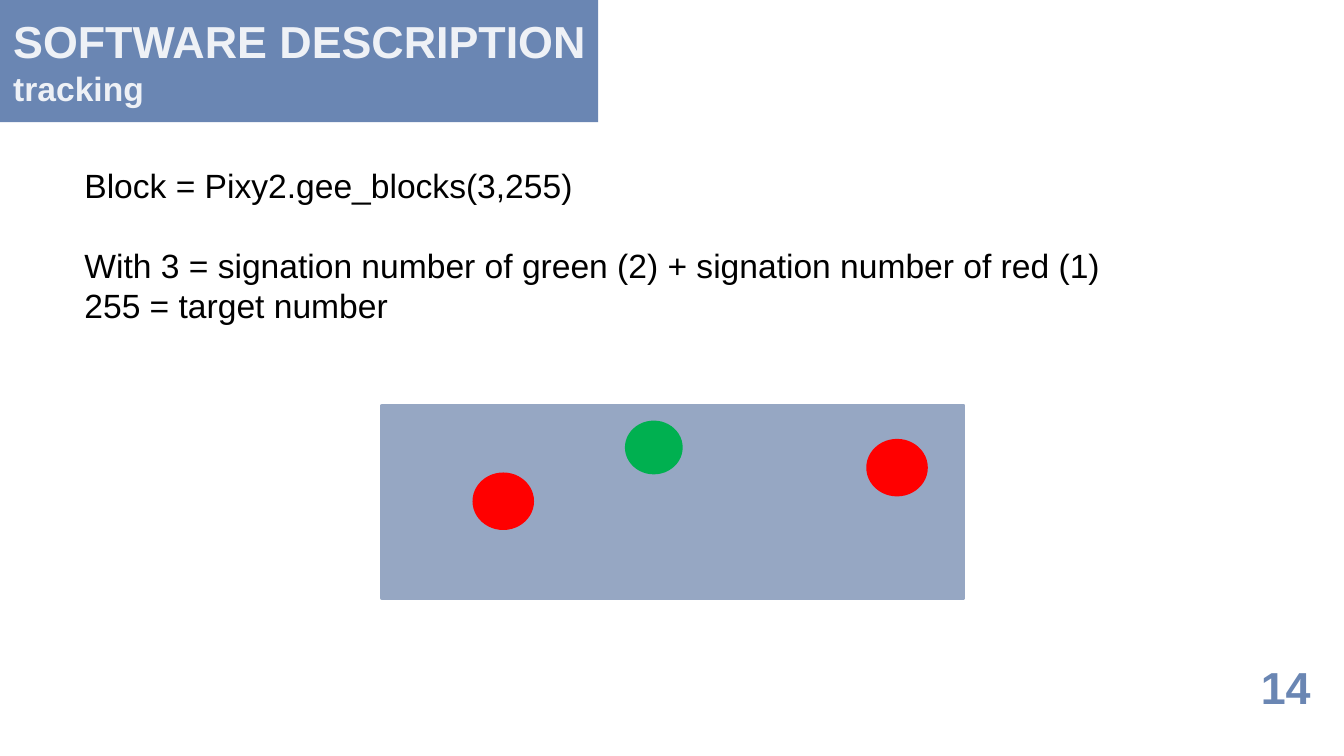
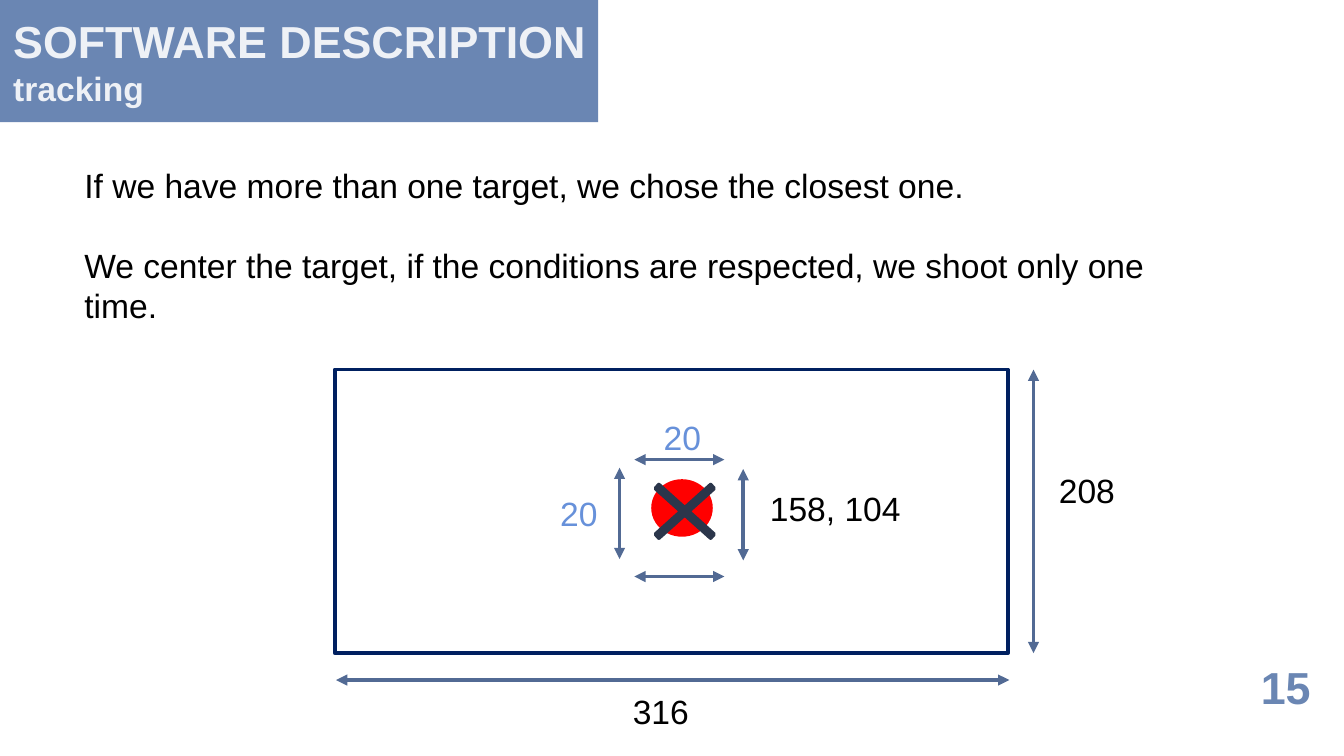
from dataclasses import dataclass
from typing import Optional

from lxml import etree
from pptx import Presentation
from pptx.dml.color import RGBColor
from pptx.enum.shapes import MSO_CONNECTOR, MSO_SHAPE
from pptx.enum.text import MSO_ANCHOR, PP_ALIGN
from pptx.oxml.ns import qn
from pptx.util import Inches, Pt

RECTANGLE = MSO_SHAPE.RECTANGLE
OVAL = MSO_SHAPE.OVAL
CROSS = MSO_SHAPE.MATH_MULTIPLY
STRAIGHT = MSO_CONNECTOR.STRAIGHT
MIDDLE = MSO_ANCHOR.MIDDLE
TOP = MSO_ANCHOR.TOP
LEFT = PP_ALIGN.LEFT
RIGHT = PP_ALIGN.RIGHT

BLUE = RGBColor(0x6A, 0x86, 0xB3)
PALE = RGBColor(0xEE, 0xF1, 0xF6)
FIELD = RGBColor(0x96, 0xA7, 0xC3)
RED = RGBColor(0xFF, 0x00, 0x00)
GREEN = RGBColor(0x00, 0xB0, 0x50)
BLACK = RGBColor(0x00, 0x00, 0x00)
NAVY = RGBColor(0x00, 0x20, 0x60)
SLATE = RGBColor(0x2B, 0x36, 0x4B)
ARROW = RGBColor(0x52, 0x6A, 0x94)
LIGHT_BLUE = RGBColor(0x67, 0x91, 0xDA)

SLIDE_WIDTH = Inches(10)
SLIDE_HEIGHT = SLIDE_WIDTH * 9 // 16
FONT = "Arial"
TITLE_SIZE = 24
TEXT_SIZE = 18
PARAGRAPH_GAP = Pt(21)
LINE_WIDTH = Pt(2)
TARGET_WIDTH = 0.43
TARGET_HEIGHT = 0.4


@dataclass(frozen=True)
class Box:
    left: float
    top: float
    width: float
    height: float


@dataclass(frozen=True)
class Figure:
    kind: MSO_SHAPE
    box: Box
    fill: Optional[RGBColor] = None
    line: Optional[RGBColor] = None
    adjustment: Optional[float] = None


@dataclass(frozen=True)
class Arrow:
    start_x: float
    start_y: float
    end_x: float
    end_y: float


@dataclass(frozen=True)
class Label:
    text: str
    box: Box
    color: RGBColor = BLACK


@dataclass(frozen=True)
class Line:
    text: str
    gap_before: bool = False


def place(box: Box) -> tuple:
    return tuple(Inches(value) for value in (box.left, box.top, box.width, box.height))


def target(left: float, top: float, color: RGBColor, outlined: bool = True) -> Figure:
    box = Box(left, top, TARGET_WIDTH, TARGET_HEIGHT)
    return Figure(OVAL, box, color, color if outlined else None)


def draw_figure(slide, figure: Figure) -> None:
    shape = slide.shapes.add_shape(figure.kind, *place(figure.box))
    shape.shadow.inherit = False
    if figure.adjustment is not None:
        shape.adjustments[0] = figure.adjustment
    if figure.fill is None:
        shape.fill.background()
    else:
        shape.fill.solid()
        shape.fill.fore_color.rgb = figure.fill
    if figure.line is None:
        shape.line.fill.background()
    else:
        shape.line.color.rgb = figure.line
        shape.line.width = LINE_WIDTH


def draw_arrow(slide, arrow: Arrow) -> None:
    connector = slide.shapes.add_connector(
        STRAIGHT,
        Inches(arrow.start_x),
        Inches(arrow.start_y),
        Inches(arrow.end_x),
        Inches(arrow.end_y),
    )
    connector.line.color.rgb = ARROW
    connector.line.width = LINE_WIDTH
    line = connector.line._get_or_add_ln()
    for end in ("a:headEnd", "a:tailEnd"):
        etree.SubElement(line, qn(end), type="triangle")
    etree.SubElement(connector._element.spPr, qn("a:effectLst"))


def add_frame(slide, box: Box, anchor: MSO_ANCHOR = TOP):
    frame = slide.shapes.add_textbox(*place(box)).text_frame
    frame.word_wrap = True
    frame.vertical_anchor = anchor
    return frame


def add_run(paragraph, text: str, color: RGBColor, size: int = TEXT_SIZE, bold: bool = False) -> None:
    run = paragraph.add_run()
    run.text = text
    run.font.name = FONT
    run.font.size = Pt(size)
    run.font.bold = bold
    run.font.color.rgb = color


def draw_label(slide, label: Label) -> None:
    frame = add_frame(slide, label.box)
    add_run(frame.paragraphs[0], label.text, label.color)


def draw_body(slide, lines: list[Line]) -> None:
    frame = add_frame(slide, Box(0.53, 1.18, 8.67, 1.31))
    for index, line in enumerate(lines):
        paragraph = frame.paragraphs[0] if index == 0 else frame.add_paragraph()
        paragraph.alignment = LEFT
        if line.gap_before:
            paragraph.space_before = PARAGRAPH_GAP
        add_run(paragraph, line.text, BLACK)


def add_tracking_slide(presentation, number: int, lines: list[Line]):
    slide = presentation.slides.add_slide(presentation.slide_layouts[6])
    draw_figure(slide, Figure(RECTANGLE, Box(0, 0, 4.45, 0.91), BLUE))

    title = add_frame(slide, Box(0, 0.19, 5.21, 0.53), MIDDLE)
    title.margin_top = title.margin_bottom = Inches(0.1)
    paragraph = title.paragraphs[0]
    add_run(paragraph, "SOFTWARE DESCRIPTION", PALE, TITLE_SIZE, True)
    paragraph.add_line_break()
    add_run(paragraph, "tracking", PALE, TEXT_SIZE, True)

    page_number = add_frame(slide, Box(8.28, 4.86, 1.57, 0.4)).paragraphs[0]
    page_number.alignment = RIGHT
    add_run(page_number, str(number), BLUE, TITLE_SIZE, True)

    draw_body(slide, lines)
    return slide


def build_detection_slide(presentation) -> None:
    slide = add_tracking_slide(presentation, 14, [
        Line("Block = Pixy2.gee_blocks(3,255)"),
        Line("With 3 = signation number of green (2) + signation number of red (1)", True),
        Line("255 = target number"),
    ])
    figures = [
        Figure(RECTANGLE, Box(2.84, 3.02, 4.33, 1.43), FIELD, FIELD),
        target(6.46, 3.28, RED),
        target(3.53, 3.53, RED),
        target(4.65, 3.13, GREEN, outlined=False),
    ]
    for figure in figures:
        draw_figure(slide, figure)


def build_centering_slide(presentation) -> None:
    slide = add_tracking_slide(presentation, 15, [
        Line("If we have more than one target, we chose the closest one."),
        Line("We center the target, if the conditions are respected, we shoot only one time.", True),
    ])
    figures = [
        Figure(RECTANGLE, Box(2.49, 2.75, 5.01, 2.11), line=NAVY),
        target(4.86, 3.58, RED),
        Figure(CROSS, Box(4.7, 3.45, 0.79, 0.71), SLATE, SLATE, 0.054),
    ]
    arrows = [
        Arrow(7.69, 2.75, 7.69, 4.86),
        Arrow(7.51, 5.06, 2.5, 5.06),
        Arrow(4.61, 3.48, 4.61, 4.16),
        Arrow(5.53, 3.49, 5.53, 4.17),
        Arrow(5.39, 3.42, 4.72, 3.42),
        Arrow(5.39, 4.29, 4.72, 4.29),
    ]
    labels = [
        Label("208", Box(7.78, 3.45, 0.79, 0.4)),
        Label("316", Box(4.61, 5.09, 0.79, 0.4)),
        Label("158, 104", Box(5.63, 3.58, 1.5, 0.4)),
        Label("20", Box(4.07, 3.62, 0.57, 0.4), LIGHT_BLUE),
        Label("20", Box(4.84, 3.05, 0.57, 0.4), LIGHT_BLUE),
    ]
    for figure in figures:
        draw_figure(slide, figure)
    for arrow in arrows:
        draw_arrow(slide, arrow)
    for label in labels:
        draw_label(slide, label)


def main() -> None:
    presentation = Presentation()
    presentation.slide_width = SLIDE_WIDTH
    presentation.slide_height = SLIDE_HEIGHT
    build_detection_slide(presentation)
    build_centering_slide(presentation)
    presentation.save("out.pptx")


if __name__ == "__main__":
    main()
